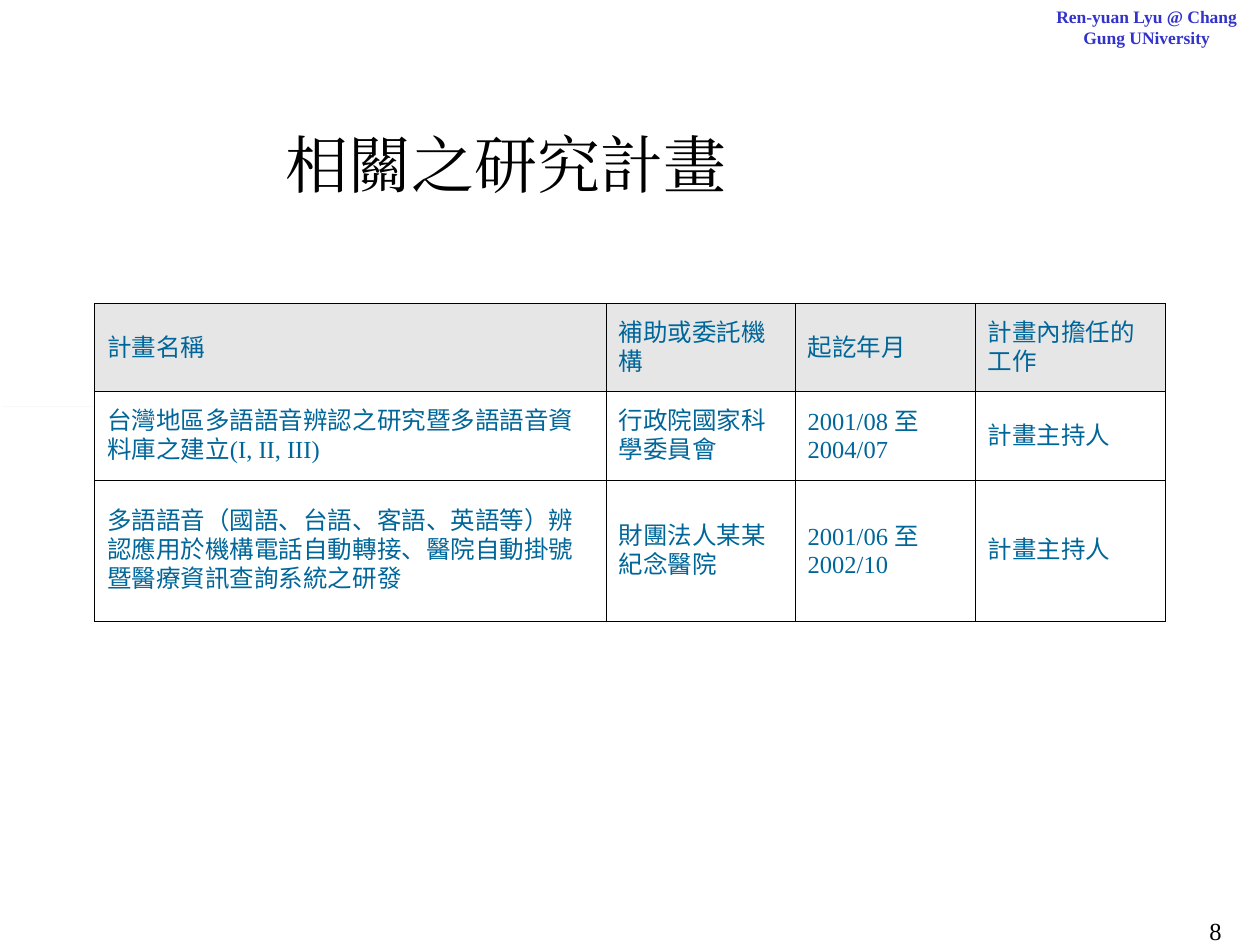
from dataclasses import dataclass

from lxml import etree
from pptx import Presentation
from pptx.dml.color import RGBColor
from pptx.enum.shapes import MSO_SHAPE
from pptx.enum.text import MSO_ANCHOR, PP_ALIGN
from pptx.oxml.ns import qn
from pptx.slide import Slide
from pptx.util import Inches, Pt

RECTANGLE = MSO_SHAPE.RECTANGLE
MIDDLE, TOP = MSO_ANCHOR.MIDDLE, MSO_ANCHOR.TOP
LEFT, CENTER = PP_ALIGN.LEFT, PP_ALIGN.CENTER
TITLE_ONLY = 5
SERIF, SANS = "Times New Roman", "Roboto"

COLORS = {
    "text": "000000",
    "table text": "006699",
    "credit": "3333CC",
    "header": "E6E6E6",
    "body": "FFFFFF",
    "rule": "CCCCCC",
    "border": "000000",
}

COLUMN_WIDTHS = [4.06, 1.5, 1.43, 1.51]
ROW_HEIGHTS = [0.7, 0.7, 1.12]


def period(start, end):
    return [(start + " ", SERIF), ("至 ", SANS), (end, SERIF)]


PROJECTS = [
    ["計畫名稱", "補助或委託機構", "起訖年月", "計畫內擔任的工作"],
    [
        [("台灣地區多語語音辨認之研究暨多語語音資料庫之建立", SANS), ("(I, II, III)", SERIF)],
        "行政院國家科學委員會",
        period("2001/08", "2004/07"),
        "計畫主持人",
    ],
    [
        "多語語音（國語、台語、客語、英語等）辨認應用於機構電話自動轉接、醫院自動掛號暨醫療資訊查詢系統之研發",
        "財團法人某某紀念醫院",
        period("2001/06", "2002/10"),
        "計畫主持人",
    ],
]


def write_text(text_frame, text, font=SERIF, size=14, color="text", bold=False, align=LEFT):
    """Fill a text frame with a string or a list of (text, font) runs."""
    paragraph = text_frame.paragraphs[0]
    paragraph.alignment = align
    for words, typeface in [(text, font)] if isinstance(text, str) else text:
        run = paragraph.add_run()
        run.text = words
        run.font.name = typeface
        run.font.size = Pt(size)
        run.font.bold = bold
        run.font.color.rgb = RGBColor.from_string(COLORS[color])
        east_asian = etree.SubElement(run.font._element, qn("a:ea"))
        east_asian.set("typeface", typeface)


@dataclass
class SlideBuilder:
    """Holds the style and the current slide."""

    slide: Slide
    border_width: float = 0.45

    def title(self, text, left, top, width, height):
        shape = self.slide.shapes.title
        shape.left, shape.top = Inches(left), Inches(top)
        shape.width, shape.height = Inches(width), Inches(height)
        shape.text_frame.vertical_anchor = MIDDLE
        write_text(shape.text_frame, text, size=36, align=CENTER)

    def text_box(self, text, left, top, width, height, **text_format):
        shape = self.slide.shapes.add_textbox(
            Inches(left), Inches(top), Inches(width), Inches(height)
        )
        shape.text_frame.word_wrap = True
        shape.text_frame.vertical_anchor = TOP
        write_text(shape.text_frame, text, **text_format)

    def rule(self, left, top, width):
        shape = self.slide.shapes.add_shape(
            RECTANGLE, Inches(left), Inches(top), Inches(width), 0
        )
        shape.shadow.inherit = False
        shape.fill.solid()
        shape.fill.fore_color.rgb = RGBColor.from_string(COLORS["rule"])
        shape.line.fill.background()

    def cell_borders(self, cell):
        properties = cell._tc.get_or_add_tcPr()
        for side in ("lnL", "lnR", "lnT", "lnB"):
            line = etree.SubElement(properties, qn(f"a:{side}"))
            line.set("w", str(Pt(self.border_width)))
            fill = etree.SubElement(line, qn("a:solidFill"))
            etree.SubElement(fill, qn("a:srgbClr")).set("val", COLORS["border"])

    def table(self, rows, left, top):
        table = self.slide.shapes.add_table(
            len(rows), len(COLUMN_WIDTHS), Inches(left), Inches(top),
            Inches(sum(COLUMN_WIDTHS)), Inches(sum(ROW_HEIGHTS)),
        ).table
        table.first_row = table.horz_banding = False
        for column, width in zip(table.columns, COLUMN_WIDTHS):
            column.width = Inches(width)
        for row_index, row in enumerate(rows):
            table.rows[row_index].height = Inches(ROW_HEIGHTS[row_index])
            for column_index, text in enumerate(row):
                cell = table.cell(row_index, column_index)
                cell.vertical_anchor = MIDDLE
                self.cell_borders(cell)
                cell.fill.solid()
                fill_name = "body" if row_index else "header"
                cell.fill.fore_color.rgb = RGBColor.from_string(COLORS[fill_name])
                write_text(cell.text_frame, text, font=SANS, color="table text")


def main():
    presentation = Presentation()
    presentation.slide_width, presentation.slide_height = Inches(10), Inches(7.5)
    slide = presentation.slides.add_slide(presentation.slide_layouts[TITLE_ONLY])
    builder = SlideBuilder(slide)
    builder.title("相關之研究計畫", 1.28, 0.67, 5.48, 1.25)
    builder.rule(0.02, 3.23, 8.7)
    builder.table(PROJECTS, 0.75, 2.41)
    builder.text_box(
        "Ren-yuan Lyu @ Chang Gung UNiversity", 8.2, 0, 1.8, 0.5,
        size=10, color="credit", bold=True, align=CENTER,
    )
    builder.text_box("8", 9.5, 7.22, 0.5, 0.28)
    presentation.save("out.pptx")


if __name__ == "__main__":
    main()
